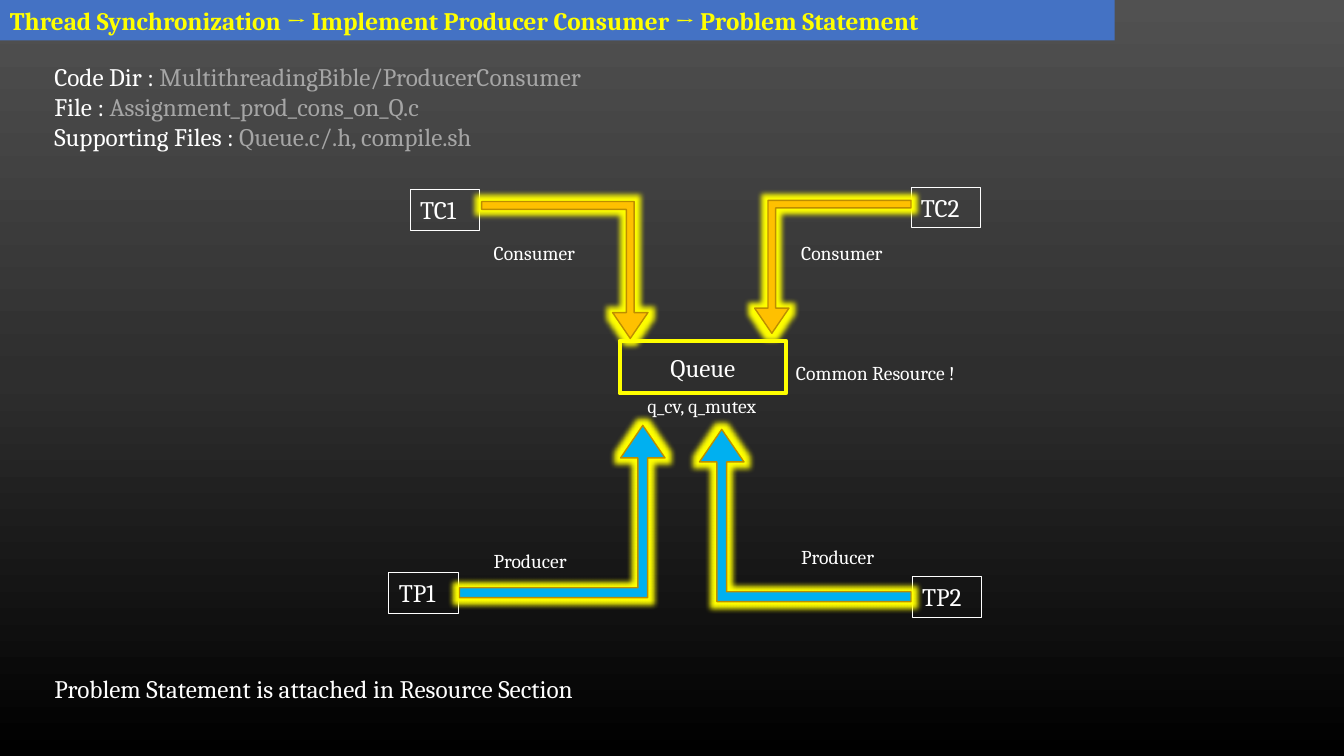
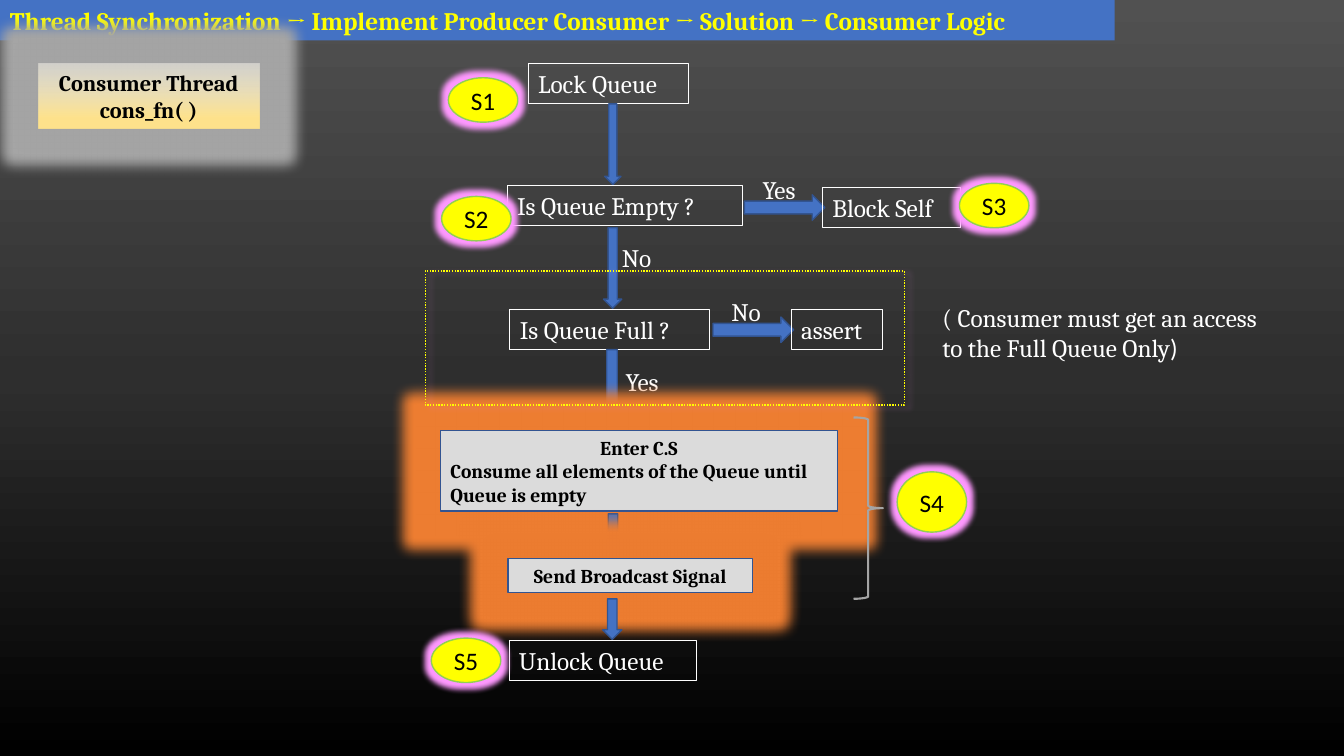
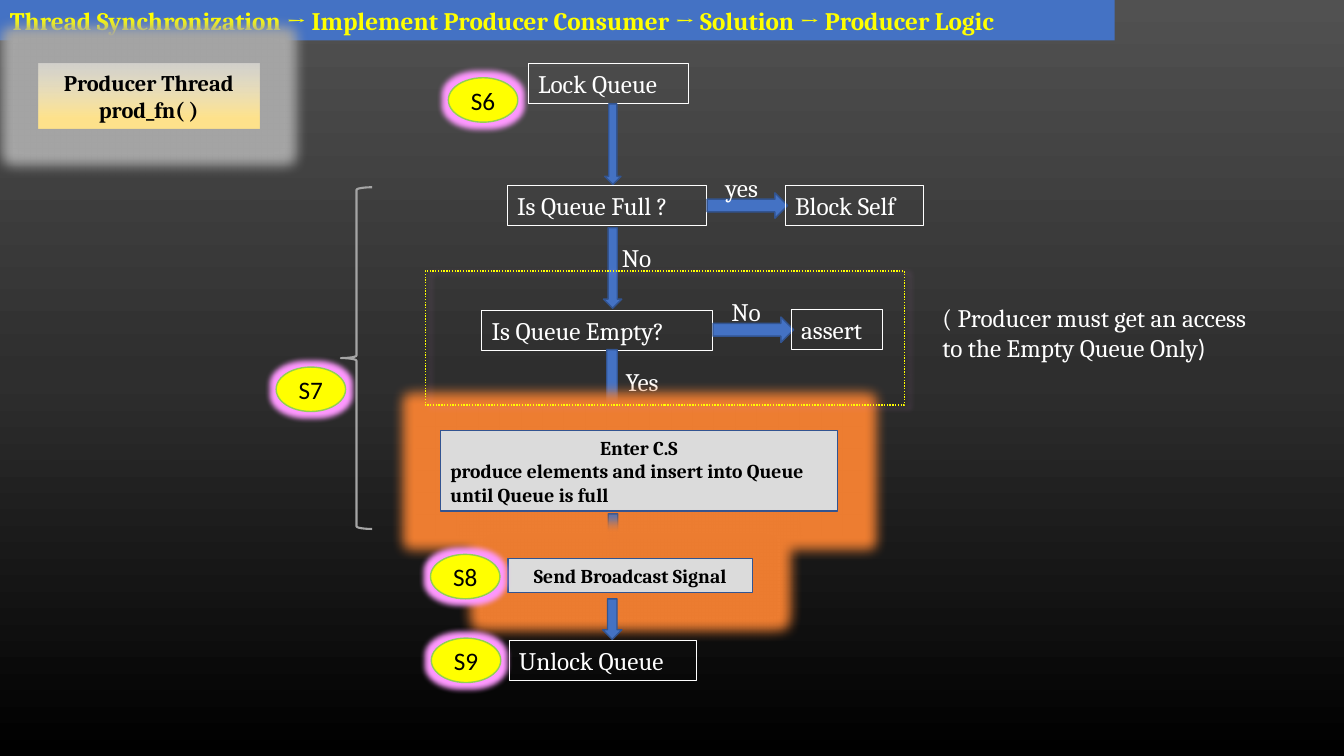
from lxml.etree import SubElement
from pptx import Presentation
from pptx.dml.color import RGBColor
from pptx.enum.dml import MSO_LINE
from pptx.enum.shapes import MSO_SHAPE as Preset
from pptx.enum.text import MSO_ANCHOR as Anchor, PP_ALIGN as Align
from pptx.oxml.ns import qn
from pptx.util import Cm, Pt

WHITE, BLACK, GREY = "FFFFFF", "000000", "A5A5A5"
YELLOW, ORANGE, AMBER, SKY = "FFFF00", "ED7D31", "FFC000", "00B0F0"
BLUE, DARK_BLUE, PINK = "4472C4", "325491", "FF99FF"
SERIF, SANS = "Cambria", "Calibri"
ROW = 1.02
TOPIC = "Thread Synchronization → Implement Producer Consumer → "


def color(value):
    return RGBColor.from_string(value)


def place(box):
    return [Cm(length) for length in box]


def write(shape, lines, size=18, ink=WHITE, font=SERIF, bold=False, align=Align.LEFT):
    frame = shape.text_frame
    frame.word_wrap = True
    frame.vertical_anchor = Anchor.MIDDLE
    frame.text = "\n".join(lines)
    for paragraph in frame.paragraphs:
        paragraph.alignment = align
        paragraph.font.size = Pt(size)
        paragraph.font.name = font
        paragraph.font.bold = bold
        paragraph.font.color.rgb = color(ink)
    return frame.paragraphs


def label(slide, box, *lines, **style):
    return write(slide.shapes.add_textbox(*place(box)), lines, **style)


def framed(slide, box, text):
    frame = slide.shapes.add_textbox(*place(box))
    frame.line.color.rgb = color(WHITE)
    frame.line.width = Pt(0.75)
    write(frame, [text])


def figure(slide, preset, box, fill=None, line=None, width=1):
    shape = slide.shapes.add_shape(preset, *place(box))
    shape.shadow.inherit = False
    if fill:
        shape.fill.solid()
        shape.fill.fore_color.rgb = color(fill)
    else:
        shape.fill.background()
    if line:
        shape.line.color.rgb = color(line)
        shape.line.width = Pt(width)
    else:
        shape.line.fill.background()
    return shape


def add_effect(shape, kind, tint, alpha=100, **lengths):
    effects = next(shape.element.iter(qn("a:effectLst")))
    effect = SubElement(effects, qn("a:" + kind))
    for name, value in lengths.items():
        effect.set(name, str(int(value)))
    swatch = SubElement(effect, qn("a:srgbClr"), val=tint)
    SubElement(swatch, qn("a:alpha"), val=str(alpha * 1000))


def glow(shape, tint, radius):
    add_effect(shape, "glow", tint, rad=Pt(radius))


def shade(owner, fill, stops):
    """Fill the owner from top to bottom with (percent, colour, opacity) stops."""
    fill.gradient()
    fill.gradient_angle = 270
    stop_list = next(owner.element.iter(qn("a:gsLst")))
    for old in list(stop_list):
        stop_list.remove(old)
    for percent, tint, opacity in stops:
        stop = SubElement(stop_list, qn("a:gs"), pos=str(percent * 1000))
        swatch = SubElement(stop, qn("a:srgbClr"), val=tint)
        SubElement(swatch, qn("a:alpha"), val=str(opacity * 1000))


def dress_master(prs):
    """Give the master its dark background and the blue title band."""
    master = prs.slide_master
    shade(master, master.background.fill,
          [(0, "515151", 100), (50, "2E2E2E", 100), (100, BLACK, 100)])
    band = figure(prs.slides[0], Preset.RECTANGLE, (0, 0, 28.09, ROW), BLUE)
    band.element.nvSpPr.cNvPr.set("id", "90")
    master.shapes.element.insert(2, band.element)


def titled_slide(prs, title):
    slide = prs.slides.add_slide(prs.slide_layouts[6])
    if len(prs.slides) == 1:
        dress_master(prs)
    label(slide, (0, 0, 28.35, ROW), TOPIC + title, ink=YELLOW, bold=True)
    return slide


def bent_arrow(slide, box, fill, flips=""):
    arrow = figure(slide, Preset.BENT_UP_ARROW, box, fill, "BD8E00")
    for index, share in enumerate((0.057, 0.129, 0.189)):
        arrow.adjustments[index] = share
    for axis in flips:
        arrow.element.spPr.xfrm.set("flip" + axis, "1")
    glow(arrow, YELLOW, 8)


def problem_slide(prs):
    slide = titled_slide(prs, "Problem Statement")
    sources = label(slide, (1.12, 1.4, 16.13, 2.57),
                    "Code Dir : ", "File : ", "Supporting Files : ")
    names = ("MultithreadingBible/ProducerConsumer",
             "Assignment_prod_cons_on_Q.c", "Queue.c/.h, compile.sh")
    for paragraph, name in zip(sources, names):
        run = paragraph.add_run()
        run.text = name
        run.font.color.rgb = color(GREY)

    queue = figure(slide, Preset.FLOWCHART_PROCESS, (15.62, 8.59, 4.19, 1.32),
                   line=YELLOW, width=3)
    write(queue, ["Queue"], align=Align.CENTER)
    label(slide, (15.82, 9.78, 3.73, 0.86), "q_cv, q_mutex", size=14, align=Align.CENTER)
    label(slide, (19.81, 8.97, 5.08, 0.86), "Common Resource !", size=14)

    threads = [
        ("TC1", (10.34, 4.78), (12.14, 5.08, 4.19, 3.45), AMBER, "V", "Consumer", (12.19, 5.94)),
        ("TC2", (22.96, 4.72), (19.02, 5.05, 3.94, 3.35), AMBER, "HV", "Consumer", (19.94, 5.94)),
        ("TP1", (9.8, 14.43), (11.58, 10.72, 5.18, 4.34), SKY, "", "Producer", (12.19, 13.69)),
        ("TP2", (22.99, 14.53), (17.63, 10.82, 5.33, 4.34), SKY, "H", "Producer", (19.94, 13.59)),
    ]
    for thread, corner, arrow_box, fill, flips, role, role_corner in threads:
        framed(slide, (*corner, 1.75, ROW), thread)
        bent_arrow(slide, arrow_box, fill, flips)
        label(slide, (*role_corner, 2.87, 0.86), role, size=14)
    label(slide, (1.12, 16.84, 15.88, ROW), "Problem Statement is attached in Resource Section")


def flow_arrow(slide, box, preset=Preset.DOWN_ARROW):
    figure(slide, preset, box, BLUE, DARK_BLUE)


def branch(slide, left, top, answer, outcome, width):
    """Lead right from a test to its outcome, whose top is given."""
    flow_arrow(slide, (left, top + 0.19, 2.03, 0.64), Preset.RIGHT_ARROW)
    framed(slide, (left + 1.97, top, width, ROW), outcome)
    label(slide, (left + 0.21, top - 0.45, 1.5, ROW), answer)


def critical_box(slide, box, *lines):
    panel = figure(slide, Preset.RECTANGLE, box, "DBDBDB", DARK_BLUE)
    glow(panel, ORANGE, 18)
    paragraphs = write(panel, lines, size=14, ink=BLACK, bold=True)
    paragraphs[0].alignment = Align.CENTER


def thread_card(slide, box, *lines):
    card = figure(slide, Preset.RECTANGLE, box)
    shade(card, card.fill, [(0, "FFFCF2", 50), (83, "FFE38C", 100), (100, "FFE38C", 100)])
    glow(card, GREY, 18)
    write(card, lines, size=16, ink=BLACK, bold=True, align=Align.CENTER)


def step(slide, name, left, top, height=1.12):
    badge = figure(slide, Preset.OVAL, (left, top, 1.75, height), YELLOW, "92D050")
    glow(badge, PINK, 8)
    write(badge, [name], ink=BLACK, font=SANS, align=Align.CENTER)


def flow_slide(prs, role, function, block_test, block_branch, check_test, check_box,
               work, note, brace, steps):
    slide = titled_slide(prs, f"Solution → {role} Logic")
    framed(slide, (13.31, 1.6, 4.04, ROW), "Lock Queue")
    flow_arrow(slide, (15.24, 2.62, 0.41, 2.03))

    test, test_width = block_test
    framed(slide, (12.78, 4.67, test_width, ROW), test)
    branch(slide, *block_branch, "Block Self", 3.48)
    flow_arrow(slide, (15.21, 5.74, 0.46, 2.03))
    label(slide, (15.42, 5.99, 1.5, ROW), "No")

    framed(slide, (*check_box, ROW), check_test)
    branch(slide, 17.97, 7.8, "No", "assert", 2.31)
    flow_arrow(slide, (15.16, 8.81, 0.53, 1.96))
    label(slide, (15.52, 9.09, 1.5, ROW), "Yes")

    critical_box(slide, (11.1, 10.85, 10.01, 2.03), "Enter C.S", work)
    flow_arrow(slide, (15.21, 12.95, 0.48, ROW))
    critical_box(slide, (12.8, 14.07, 6.17, 0.86), "Send Broadcast Signal")
    flow_arrow(slide, (15.19, 15.09, 0.48, ROW))
    framed(slide, (12.83, 16.13, 4.72, ROW), "Unlock Queue")

    thread_card(slide, (0.97, 1.6, 5.56, 1.63), f"{role} Thread", function)
    brace_preset, brace_box = brace
    figure(slide, brace_preset, brace_box, line=GREY, width=1.5)
    check_area = figure(slide, Preset.RECTANGLE, (10.72, 6.83, 12.07, 3.38), line=YELLOW)
    check_area.line.dash_style = MSO_LINE.ROUND_DOT
    add_effect(check_area, "outerShdw", PINK, 43,
               blurRad=Pt(4), dist=Pt(4), dir=20 * 60000)
    for name, *position in steps:
        step(slide, name, *position)

    closing = label(slide, (23.5, 7.47, 9.78, 1.8), *note)[-1].add_run()
    closing.text = ")"
    closing.font.name = SANS


def main():
    prs = Presentation()
    prs.slide_width, prs.slide_height = Cm(33.87), Cm(19.05)
    problem_slide(prs)
    flow_slide(
        prs, "Consumer", "cons_fn( )",
        block_test=("Is Queue Empty ?", 5.94), block_branch=(18.76, 4.72, "Yes"),
        check_test="Is Queue Full ?", check_box=(12.85, 7.8, 5.03),
        work="Consume all elements of the Queue until Queue is empty",
        note=("( Consumer must get an access", "to the Full Queue Only"),
        brace=(Preset.RIGHT_BRACE, (21.51, 10.52, 0.74, 4.57)),
        steps=[("S1", 11.3, 1.96), ("S2", 11.13, 4.95), ("S3", 24.18, 4.62),
               ("S4", 22.61, 11.89, 1.52), ("S5", 10.87, 16.08)])
    flow_slide(
        prs, "Producer", "prod_fn( )",
        block_test=("Is Queue Full ?", 5.03), block_branch=(17.82, 4.67, "yes"),
        check_test="Is Queue Empty?", check_box=(12.14, 7.82, 5.82),
        work="produce elements and insert into Queue until Queue is full",
        note=("( Producer must get an access", "to the Empty Queue Only"),
        brace=(Preset.LEFT_BRACE, (8.59, 4.72, 0.79, 8.61)),
        steps=[("S6", 11.3, 1.96), ("S7", 6.96, 9.25),
               ("S8", 10.85, 13.97), ("S9", 10.87, 16.08)])
    prs.save("out.pptx")


if __name__ == "__main__":
    main()
